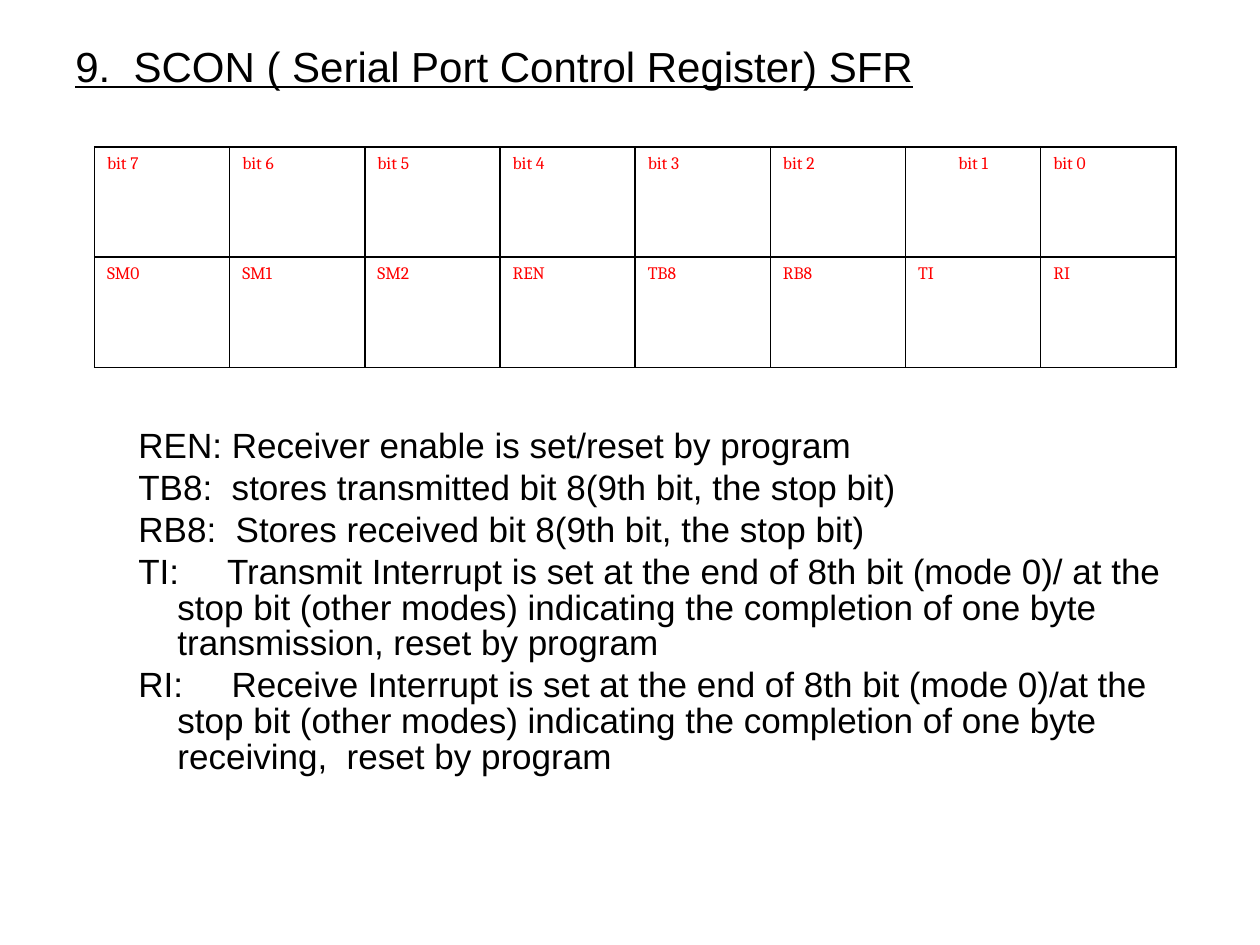
from lxml import etree
from pptx import Presentation, util as u
from pptx.dml.color import RGBColor
from pptx.enum import text
from pptx.oxml import ns

presentation = Presentation()
presentation.slide_width, presentation.slide_height = u.Inches(10), u.Inches(7.5)
column = presentation.slide_width // 120
row = presentation.slide_height // 90
slide = presentation.slides.add_slide(presentation.slide_layouts[6])


def style(paragraph, name, size, color, left, hanging):
    paragraph.font.name = name
    paragraph.font.size = u.Pt(size)
    paragraph.font.color.rgb = RGBColor.from_string(color)
    properties = paragraph._p.get_or_add_pPr()
    properties.set("marL", str(u.Inches(left)))
    properties.set("indent", str(-u.Inches(hanging)))


def add_borders(cell, color, width):
    properties = cell._tc.get_or_add_tcPr()
    for position, side in enumerate(("lnL", "lnR", "lnT", "lnB")):
        line = etree.Element(ns.qn(f"a:{side}"), w=str(u.Pt(width)))
        fill = etree.SubElement(line, ns.qn("a:solidFill"))
        etree.SubElement(fill, ns.qn("a:srgbClr"), val=color)
        properties.insert(position, line)


title = "9.  SCON ( Serial Port Control Register) SFR"
descriptions = [
    "REN: Receiver enable is set/reset by program",
    "TB8:  stores transmitted bit 8(9th bit, the stop bit)",
    "RB8:  Stores received bit 8(9th bit, the stop bit)",
    "TI:     Transmit Interrupt is set at the end of 8th bit (mode 0)/ at the stop bit "
    "(other modes) indicating the completion of one byte transmission, reset by program",
    "RI:     Receive Interrupt is set at the end of 8th bit (mode 0)/at the stop bit "
    "(other modes) indicating the completion of one byte receiving,  reset by program",
]
body = slide.shapes.add_textbox(6 * column, 4 * row, 108 * column, 80 * row)
frame = body.text_frame
frame.word_wrap = True
heading = frame.paragraphs[0]
heading.text = title
heading.line_spacing = 0.85
style(heading, "Arial", 24, "000000", 0.38, 0.38)
heading.font.underline = True

for index, description in enumerate(descriptions):
    paragraph = frame.add_paragraph()
    paragraph.text = description
    paragraph.level = 1
    paragraph.line_spacing = 0.85
    paragraph.space_before = u.Pt(3.6 if index else 193.6)
    style(paragraph, "Arial", 20, "000000", 0.81, 0.31)

names = ["SM0", "SM1", "SM2", "REN", "TB8", "RB8", "TI", "RI"]
bits = [f"bit {number}" for number in reversed(range(len(names)))]
register = slide.shapes.add_table(2, len(names), 9 * column, 14 * row, 103 * column, 21 * row).table
register.first_row = False
register.horz_banding = False
for row_index, labels in enumerate((bits, names)):
    for column_index, label in enumerate(labels):
        cell = register.cell(row_index, column_index)
        cell.text = label
        cell.fill.background()
        add_borders(cell, "000000", 1)
        paragraph = cell.text_frame.paragraphs[0]
        style(paragraph, "Cambria", 10, "FF0000", 0.38, 0.38)
        paragraph.alignment = text.PP_ALIGN.CENTER if label == "bit 1" else text.PP_ALIGN.JUSTIFY

presentation.save("out.pptx")
